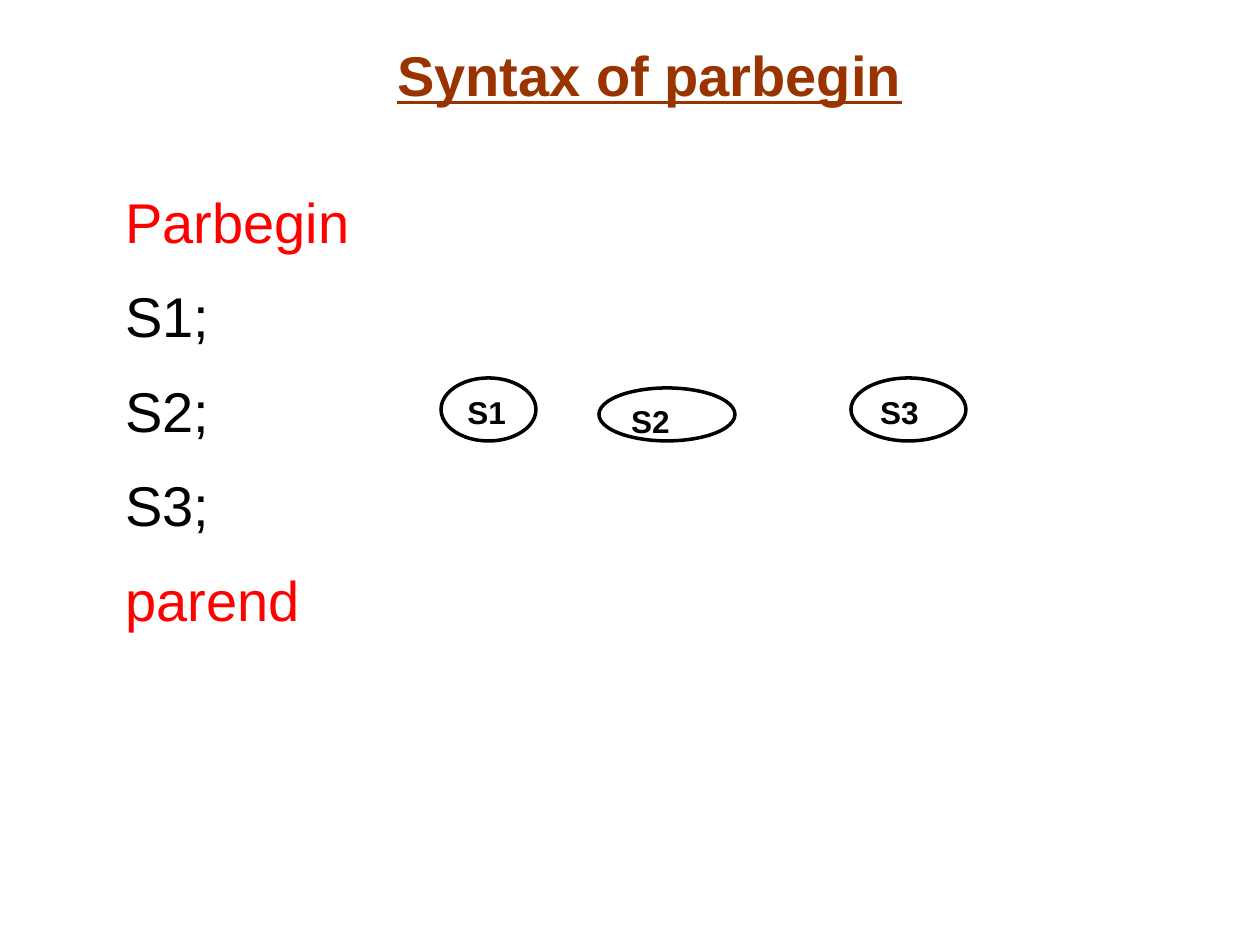
"""Build the slide on the syntax of parbegin."""
from pptx import Presentation
from pptx.dml.color import RGBColor
from pptx.enum.shapes import MSO_SHAPE
from pptx.enum.text import MSO_ANCHOR, PP_ALIGN
from pptx.util import Emu, Pt

OVAL = MSO_SHAPE.OVAL
TOP, BOTTOM = MSO_ANCHOR.TOP, MSO_ANCHOR.BOTTOM
LEFT, CENTER = PP_ALIGN.LEFT, PP_ALIGN.CENTER
PX = 914400 // 126
THEME = {
    "face": "Arial", "brown": "993300", "red": "FF0000",
    "black": "000000", "white": "FFFFFF",
    "large": 32, "small": 18, "line": 2, "gap": 15.6,
}


def px(*nums):
    return [Emu(num * PX) for num in nums]


def write(para, text, size, tone, **form):
    run = para.add_run()
    run.text = text
    run.font.color.rgb = RGBColor.from_string(THEME[tone])
    form.update(name=THEME["face"], size=Pt(THEME[size]))
    for key, value in form.items():
        setattr(run.font, key, value)


deck = Presentation()
deck.slide_width, deck.slide_height = px(1260, 945)
slide = deck.slides.add_slide(deck.slide_layouts[6])
shapes = slide.shapes
slide.background.fill.solid()
slide.background.fill.fore_color.rgb = RGBColor.from_string(THEME["white"])

title = shapes.add_textbox(*px(94, 32, 1111, 82)).text_frame
title.word_wrap = True
title.vertical_anchor = BOTTOM
title.paragraphs[0].alignment = CENTER
write(title.paragraphs[0], "Syntax of parbegin", "large", "brown",
      bold=True, underline=True)

code = [("Parbegin", "red"), ("S1;", "black"), ("S2;", "black"),
        ("S3;", "black"), ("parend", "red")]
body = shapes.add_textbox(*px(113, 181, 1011, 616)).text_frame
body.word_wrap = True
for row, (text, tone) in enumerate(code):
    para = body.add_paragraph() if row else body.paragraphs[0]
    para.space_before = Pt(THEME["gap"] if row else 0)
    write(para, text, "large", tone)

nodes = [("S1", 441, 378, 95, 63), ("S2", 599, 388, 136, 53),
         ("S3", 851, 378, 115, 63)]
for text, *place in nodes:
    node = shapes.add_shape(OVAL, *px(*place))
    node.shadow.inherit = False
    node.fill.solid()
    node.fill.fore_color.rgb = RGBColor.from_string(THEME["white"])
    node.line.color.rgb = RGBColor.from_string(THEME["black"])
    node.line.width = Pt(THEME["line"])
    frame = node.text_frame
    frame.vertical_anchor = TOP
    frame.paragraphs[0].alignment = LEFT
    write(frame.paragraphs[0], text, "small", "black", bold=True)

deck.save("out.pptx")
